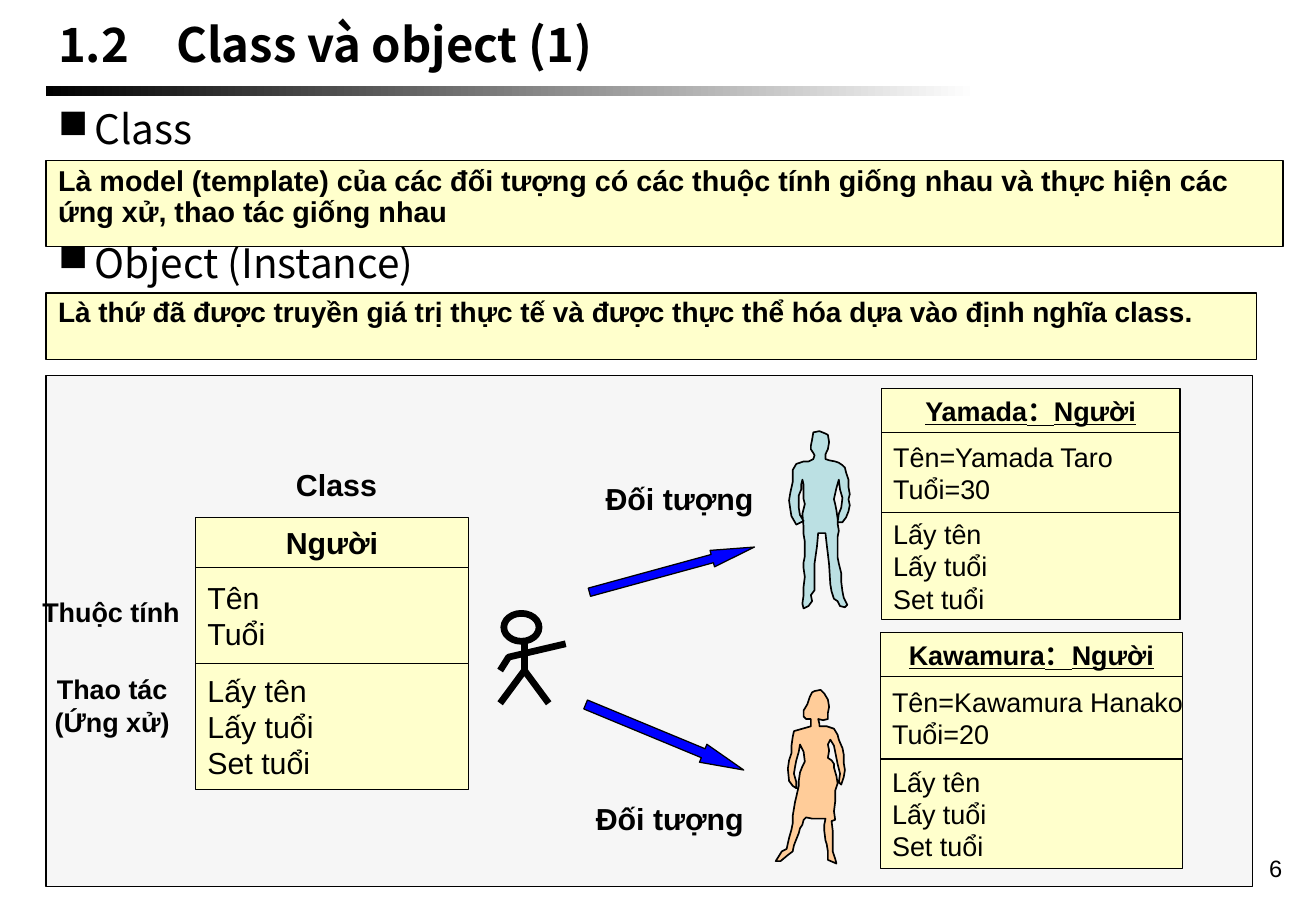
from dataclasses import dataclass

import lxml.etree
import pptx
import pptx.dml.color
import pptx.dml.fill
import pptx.enum.shapes
import pptx.enum.text
import pptx.oxml.ns
import pptx.shapes.base
import pptx.shapes.shapetree
import pptx.util

Inches = pptx.util.Inches
Align = pptx.enum.text.PP_ALIGN
Anchor = pptx.enum.text.MSO_ANCHOR
Preset = pptx.enum.shapes.MSO_SHAPE
Points = tuple[tuple[int, int], ...]
Box = tuple[float, float, float, float]


@dataclass(frozen=True)
class Theme:
    black: str = "000000"
    white: str = "FFFFFF"
    cream: str = "FFFFCC"
    panel: str = "DDDDDD"
    arrow: str = "0000FF"
    man: str = "BBE0E3"
    woman: str = "FFCC99"
    body_font: str = "Arial"
    heading_font: str = "Noto Sans CJK JP"
    title: float = 28
    heading: float = 24
    class_size: float = 18
    object_size: float = 16
    number: float = 14
    thin: float = 0.75
    medium: float = 1
    thick: float = 4


THEME = Theme()


@dataclass(frozen=True)
class TextStyle:
    size: float
    bold: bool = False
    underline: bool = False
    font: str = THEME.body_font
    align: Align = Align.LEFT
    anchor: Anchor = Anchor.TOP
    wrap: bool = True
    line_spacing: float = 1
    bullet: bool = False


@dataclass(frozen=True)
class Label:
    text: str
    box: Box
    style: TextStyle


@dataclass(frozen=True)
class ClassDiagram:
    left: float
    top: float
    width: float
    heights: tuple[float, float, float]
    size: float
    name: str
    attributes: str
    underline: bool = True


@dataclass(frozen=True)
class Arrow:
    box: Box
    rotation: float
    head_length: float


OPERATIONS = "Lấy tên\nLấy tuổi\nSet tuổi"
HEADING = TextStyle(THEME.heading, font=THEME.heading_font, bullet=True)
CLASS_LABEL = TextStyle(THEME.class_size, bold=True)
SIDE_LABEL = TextStyle(THEME.object_size, bold=True)

HEADINGS = (
    Label("1.2　Class và object (1)", (0.38, 0.09, 10.08, 0.54),
          TextStyle(THEME.title, True, font=THEME.heading_font, anchor=Anchor.MIDDLE)),
    Label("Class", (0.38, 0.81, 9.73, 0.64), HEADING),
    Label("Object (Instance)", (0.38, 1.91, 9.73, 0.64), HEADING),
)
DEFINITIONS = (
    Label("Là model (template) của các đối tượng có các thuộc tính giống nhau và thực hiện các "
          "ứng xử, thao tác giống nhau", (0.38, 1.32, 10.19, 0.71),
          TextStyle(17, True, line_spacing=0.9)),
    Label("Là thứ đã được truyền giá trị thực tế và được thực thể hóa dựa vào định nghĩa class.",
          (0.38, 2.41, 9.97, 0.55), TextStyle(16.6, True, line_spacing=0.9)),
)
LABELS = (
    Label("Class", (2.34, 3.79, 0.96, 0.4), CLASS_LABEL),
    Label("Đối tượng", (4.89, 3.9, 1.56, 0.4), CLASS_LABEL),
    Label("Đối tượng", (4.81, 6.54, 1.5, 0.4), CLASS_LABEL),
    Label("Thuộc tính", (0.25, 4.85, 1.38, 0.37), SIDE_LABEL),
    Label("Thao tác\n(Ứng xử)", (0.21, 5.49, 1.43, 0.63),
          TextStyle(THEME.object_size, True, align=Align.CENTER)),
    Label("6", (8.33, 6.98, 2.33, 0.52), TextStyle(THEME.number, align=Align.RIGHT)),
)
DIAGRAMS = (
    ClassDiagram(1.61, 4.26, 2.25, (0.41, 0.79, 1.04), THEME.class_size,
                 "Người", "Tên\nTuổi", underline=False),
    ClassDiagram(7.26, 3.2, 2.46, (0.36, 0.66, 0.88), THEME.object_size,
                 "Yamada：Người", "Tên=Yamada Taro\nTuổi=30"),
    ClassDiagram(7.25, 5.21, 2.49, (0.36, 0.68, 0.9), THEME.object_size,
                 "Kawamura：Người", "Tên=Kawamura Hanako\nTuổi=20"),
)
ARROWS = (Arrow((4.83, 4.62, 1.41, 0.14), 344.7, 2.57), Arrow((4.77, 5.99, 1.41, 0.16), 22.5, 2.26))

# Outlines are in hundredths of an inch.
LEGS: Points = ((412, 579), (432, 552), (452, 579))
ARMS: Points = ((412, 552), (419, 541), (466, 530))
WOMAN: Points = (
    (669, 570), (667, 574), (665, 580), (662, 585), (662, 590), (664, 592), (668, 592), (668, 598),
    (661, 600), (654, 602), (653, 607), (652, 614), (652, 620), (650, 626), (649, 633), (650, 643),
    (653, 647), (656, 649), (656, 644), (654, 637), (655, 631), (656, 626), (658, 619), (659, 613),
    (662, 619), (663, 627), (661, 631), (659, 636), (658, 643), (658, 647), (656, 656), (655, 660),
    (653, 672), (653, 678), (652, 683), (650, 690), (648, 699), (644, 701), (639, 709), (643, 709),
    (649, 704), (653, 701), (654, 696), (656, 691), (658, 686), (659, 682), (661, 679), (662, 675),
    (664, 673), (669, 674), (680, 674), (679, 679), (679, 684), (680, 692), (681, 695), (682, 701),
    (682, 708), (689, 711), (688, 707), (686, 701), (686, 684), (685, 676), (688, 675), (687, 668),
    (688, 660), (688, 651), (690, 645), (689, 639), (687, 632), (687, 629), (685, 626), (682, 624),
    (683, 618), (682, 613), (684, 609), (687, 614), (688, 619), (690, 629), (692, 637), (691, 644),
    (693, 646), (695, 640), (696, 634), (695, 628), (695, 621), (694, 616), (691, 609), (690, 605),
    (687, 600), (681, 598), (675, 598), (675, 596), (674, 592), (678, 593), (682, 592), (682, 587),
    (683, 582), (682, 576), (679, 571), (676, 568), (671, 569))
MAN: Points = (
    (682, 358), (683, 364), (682, 370), (680, 374), (680, 378), (683, 379), (688, 380), (691, 381),
    (694, 383), (696, 385), (697, 389), (699, 395), (699, 401), (700, 407), (699, 411), (700, 416),
    (699, 421), (697, 426), (694, 430), (690, 430), (691, 423), (693, 418), (694, 410), (692, 403),
    (691, 395), (689, 402), (687, 411), (688, 415), (689, 420), (690, 427), (690, 431), (691, 437),
    (690, 442), (690, 459), (691, 464), (693, 472), (693, 479), (694, 487), (695, 492), (698, 498),
    (696, 500), (692, 499), (690, 495), (687, 493), (685, 487), (684, 481), (683, 465), (682, 456),
    (681, 448), (680, 439), (674, 439), (673, 450), (671, 464), (671, 486), (668, 490), (669, 495),
    (666, 499), (662, 501), (661, 497), (662, 490), (662, 483), (663, 475), (662, 468), (662, 463),
    (663, 458), (663, 446), (662, 440), (662, 434), (661, 423), (663, 415), (662, 411), (662, 399),
    (661, 395), (660, 399), (660, 403), (658, 408), (658, 418), (659, 424), (662, 429), (656, 432),
    (652, 425), (651, 419), (650, 412), (651, 406), (653, 397), (653, 387), (656, 382), (659, 381),
    (662, 380), (666, 380), (670, 378), (671, 375), (670, 373), (668, 370), (668, 367), (669, 362),
    (670, 356), (675, 355), (680, 357))


def rgb(color: str) -> pptx.dml.color.RGBColor:
    return pptx.dml.color.RGBColor.from_string(color)


def paint(shape: pptx.shapes.base.BaseShape, fill: str | None, width: float) -> None:
    shape.shadow.inherit = False
    if fill:
        shape.fill.solid()
        shape.fill.fore_color.rgb = rgb(fill)
    else:
        shape.fill.background()
    shape.line.color.rgb = rgb(THEME.black)
    shape.line.width = pptx.util.Pt(width)


def write(shape: pptx.shapes.base.BaseShape, text: str, style: TextStyle) -> None:
    frame = shape.text_frame
    frame.text = text
    frame.word_wrap = style.wrap
    frame.vertical_anchor = style.anchor
    for paragraph in frame.paragraphs:
        paragraph.alignment = style.align
        paragraph.line_spacing = style.line_spacing
        if style.bullet:
            properties = paragraph._p.get_or_add_pPr()
            properties.set("marL", str(Inches(0.3)))
            properties.set("indent", str(Inches(-0.3)))
            bullet = lxml.etree.SubElement(properties, pptx.oxml.ns.qn("a:buChar"))
            bullet.set("char", "■")
        for run in paragraph.runs:
            run.font.name = style.font
            run.font.size = pptx.util.Pt(style.size)
            run.font.bold = style.bold
            run.font.underline = style.underline
            run.font.color.rgb = rgb(THEME.black)


def add_preset(shapes: pptx.shapes.shapetree._BaseGroupShapes, preset: Preset, box: Box,
               fill: str | None, width: float) -> pptx.shapes.base.BaseShape:
    shape = shapes.add_shape(preset, *map(Inches, box))
    paint(shape, fill, width)
    return shape


def add_outline(shapes: pptx.shapes.shapetree._BaseGroupShapes, points: Points,
                fill: str | None, width: float) -> None:
    """Draw a closed figure when filled, otherwise an open line."""
    builder = shapes.build_freeform(*points[0], scale=Inches(0.01))
    builder.add_line_segments(points[1:], close=fill is not None)
    paint(builder.convert_to_shape(), fill, width)


def add_label(shapes: pptx.shapes.shapetree.SlideShapes, label: Label) -> None:
    write(shapes.add_textbox(*map(Inches, label.box)), label.text, label.style)


def add_diagram(shapes: pptx.shapes.shapetree.SlideShapes, diagram: ClassDiagram) -> None:
    group = shapes.add_group_shape()
    plain = TextStyle(diagram.size, anchor=Anchor.MIDDLE, wrap=False)
    name = TextStyle(diagram.size, True, diagram.underline, align=Align.CENTER,
                     anchor=Anchor.MIDDLE, wrap=False)
    top = diagram.top
    texts = (diagram.name, diagram.attributes, OPERATIONS)
    for text, height, style in zip(texts, diagram.heights, (name, plain, plain)):
        box = (diagram.left, top, diagram.width, height)
        write(add_preset(group.shapes, Preset.RECTANGLE, box, THEME.cream, THEME.thin), text, style)
        top += height


def add_stick_figure(shapes: pptx.shapes.shapetree.SlideShapes) -> None:
    figure = shapes.add_group_shape().shapes
    add_preset(figure, Preset.OVAL, (4.15, 5.05, 0.29, 0.23), None, THEME.thick)
    torso = figure.add_connector(pptx.enum.shapes.MSO_CONNECTOR.STRAIGHT,
                                 *map(Inches, (4.32, 5.3, 4.32, 5.52)))
    torso.line.color.rgb = rgb(THEME.black)
    torso.line.width = pptx.util.Pt(THEME.thick)
    lxml.etree.SubElement(torso._element.spPr, pptx.oxml.ns.qn("a:effectLst"))
    for limbs in (LEGS, ARMS):
        add_outline(figure, limbs, None, THEME.thick)


def add_background(shapes: pptx.shapes.shapetree.SlideShapes) -> None:
    """Draw the fading title rule and the translucent diagram panel."""
    rule = add_preset(shapes, Preset.RECTANGLE, (0.38, 0.71, 7.67, 0.08), None, THEME.thin)
    rule.line.fill.background()
    rule.fill.gradient()
    rule.fill.gradient_angle = 0
    for stop, color in zip(rule.fill.gradient_stops, (THEME.black, THEME.white)):
        stop.color.rgb = rgb(color)
    panel = add_preset(shapes, Preset.RECTANGLE, (0.38, 3.09, 9.94, 4.21), THEME.panel, THEME.thin)
    color = panel._element.spPr.find(".//" + pptx.oxml.ns.qn("a:srgbClr"))
    lxml.etree.SubElement(color, pptx.oxml.ns.qn("a:alpha")).set("val", "25000")


def main() -> None:
    presentation = pptx.Presentation()
    presentation.slide_width, presentation.slide_height = Inches(10.84), Inches(7.5)
    shapes = presentation.slides.add_slide(presentation.slide_layouts[6]).shapes
    add_background(shapes)
    for heading in HEADINGS:
        add_label(shapes, heading)
    for definition in DEFINITIONS:
        box = add_preset(shapes, Preset.RECTANGLE, definition.box, THEME.cream, THEME.medium)
        write(box, definition.text, definition.style)
    add_stick_figure(shapes)
    add_outline(shapes, WOMAN, THEME.woman, THEME.medium)
    add_outline(shapes, MAN, THEME.man, THEME.medium)
    for arrow in ARROWS:
        shape = add_preset(shapes, Preset.RIGHT_ARROW, arrow.box, THEME.arrow, THEME.thin)
        shape.rotation = arrow.rotation
        shape.adjustments[1] = arrow.head_length
    for diagram in DIAGRAMS:
        add_diagram(shapes, diagram)
    for label in LABELS:
        add_label(shapes, label)
    presentation.save("out.pptx")


if __name__ == "__main__":
    main()
